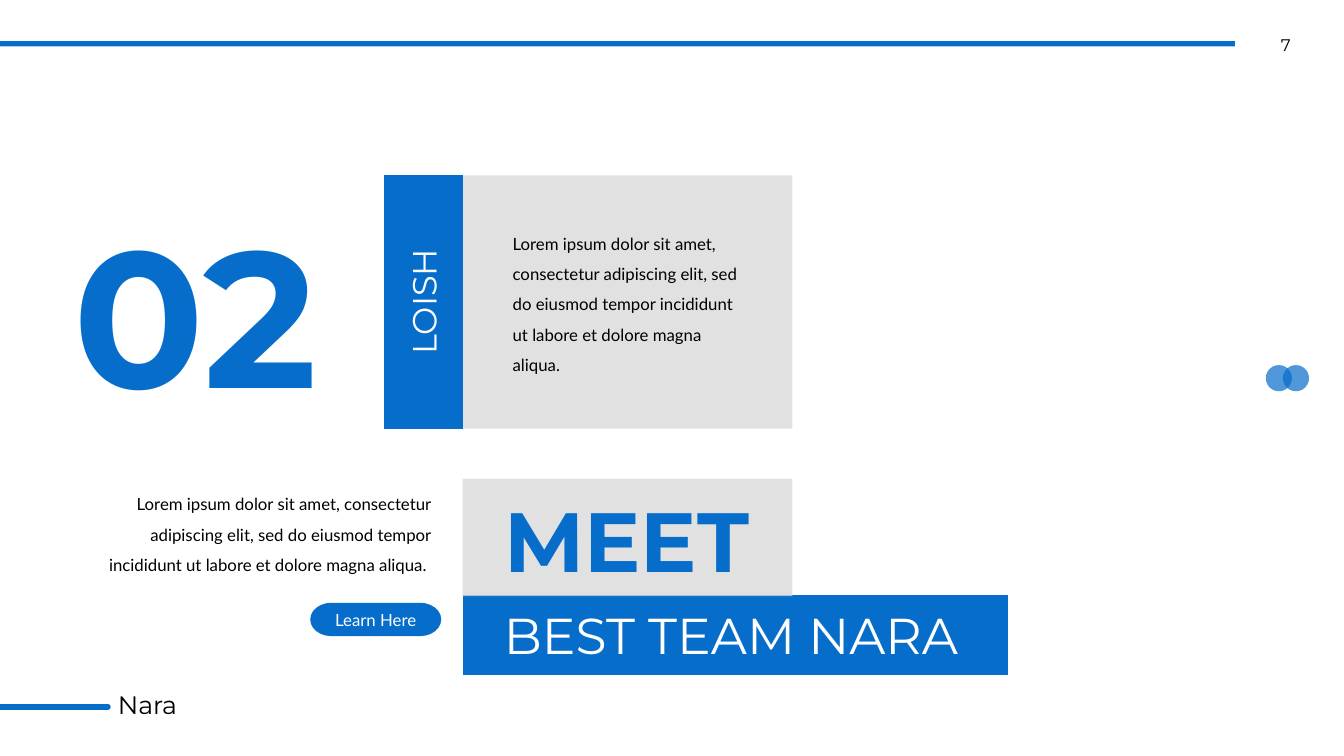
from lxml import etree
from pptx import Presentation
from pptx.dml.color import RGBColor
from pptx.enum import shapes, text
from pptx.oxml.ns import qn
from pptx.util import Cm, Pt

BLUE = RGBColor(0x06, 0x6D, 0xCA)
GREY = RGBColor(0xD8, 0xD8, 0xD8)
BLACK = RGBColor(0, 0, 0)
WHITE = RGBColor(0xFF, 0xFF, 0xFF)
MST = shapes.MSO_SHAPE
LEFT, CENTER, RIGHT = text.PP_ALIGN.LEFT, text.PP_ALIGN.CENTER, text.PP_ALIGN.RIGHT
LOREM = ("Lorem ipsum dolor sit amet, consectetur adipiscing elit, sed do eiusmod "
         "tempor incididunt ut labore et dolore magna aliqua.")

prs = Presentation()
prs.slide_width, prs.slide_height = Cm(33.87), Cm(19.05)
s = prs.slides.add_slide(prs.slide_layouts[5])


def add_block(kind, box, color, opacity=100):
    sp = s.shapes.add_shape(kind, *[Cm(v) for v in box])
    sp.shadow.inherit = False
    sp.fill.solid()
    sp.fill.fore_color.rgb = color
    sp.line.fill.background()
    if opacity < 100:
        clr = sp.fill._xPr.find(qn("a:solidFill"))[0]
        etree.SubElement(clr, qn("a:alpha"), val=str(opacity * 1000))
    return sp


def write(sp, words, size, font, color, align=LEFT, bold=False, spacing=1.0):
    tf = sp.text_frame
    tf.text = words
    tf.word_wrap = True
    tf.auto_size = text.MSO_AUTO_SIZE.NONE
    p = tf.paragraphs[0]
    p.alignment = align
    p.line_spacing = spacing
    r = p.runs[0]
    r.font.size, r.font.name, r.font.bold = Pt(size), font, bold
    r.font.color.rgb = color


# Overlapping dots and top bar
for x in (31.9, 32.33):
    add_block(MST.OVAL, (x, 9.2, 0.66, 0.66), BLUE, 70)
add_block(MST.RECTANGLE, (0, 1.04, 31.12, 0.13), BLUE)

# Footer line
footer = s.shapes.add_connector(shapes.MSO_CONNECTOR.STRAIGHT,
                                Cm(0), Cm(17.81), Cm(2.72), Cm(17.81))
footer.line.color.rgb = BLUE
footer.line.width = Pt(4)
footer.line._get_or_add_ln().set("cap", "rnd")
etree.SubElement(footer._element.spPr, qn("a:effectLst"))

# Panels
for box, color, opacity in [
    ((11.66, 14.99, 13.74, 2.03), BLUE, 100),
    ((11.66, 12.07, 8.31, 2.95), GREY, 75),
    ((11.66, 4.42, 8.31, 6.38), GREY, 75),
    ((9.68, 4.42, 1.98, 6.38), BLUE, 100),
]:
    add_block(MST.FLOWCHART_PROCESS, box, color, opacity)

# Title, brought in front of its panel
title = s.shapes.title
title.left, title.top, title.width, title.height = Cm(12.45), Cm(12.17), Cm(8.03), Cm(2.82)
write(title, "MEET", 60, "Montserrat", BLUE, bold=True)
title.text_frame.vertical_anchor = text.MSO_ANCHOR.TOP
title._element.getparent().append(title._element)

# Button
button = add_block(MST.FLOWCHART_TERMINATOR, (7.82, 15.19, 3.3, 0.84), BLUE)
write(button, "Learn Here", 12, "Lato", WHITE, CENTER)
button.text_frame.vertical_anchor = text.MSO_ANCHOR.MIDDLE

# Text boxes: box, words, size, font, colour, alignment, bold, spacing, rotation
for box, words, size, font, color, align, bold, spacing, rotation in [
    ((31.54, 0.76, 1.73, 0.77), "7", 12, "Montserrat", BLACK, CENTER, False, 1.0, 0),
    ((2.72, 17.25, 4.24, 1.02), "Nara", 18, "Montserrat", BLACK, LEFT, False, 1.0, 0),
    ((12.45, 15.11, 12.93, 1.8), "BEST TEAM NARA", 36, "Montserrat", WHITE, LEFT, False, 1.0, 0),
    ((1.85, 12.07, 9.27, 2.46), LOREM + " ", 12, "Lato", BLACK, RIGHT, False, 1.5, 0),
    ((12.67, 5.51, 6.27, 4.01), LOREM, 12, "Lato", BLACK, LEFT, False, 1.5, 0),
    ((7.87, 6.96, 5.59, 1.27), "LOISH", 24, "Montserrat", WHITE, CENTER, False, 1.0, 270),
    ((1.22, 4.8, 7.42, 6.15), "02", 138, "Montserrat", BLUE, CENTER, True, 1.0, 0),
]:
    tb = s.shapes.add_textbox(*[Cm(v) for v in box])
    tb.rotation = rotation
    write(tb, words, size, font, color, align, bold, spacing)

prs.save("out.pptx")
